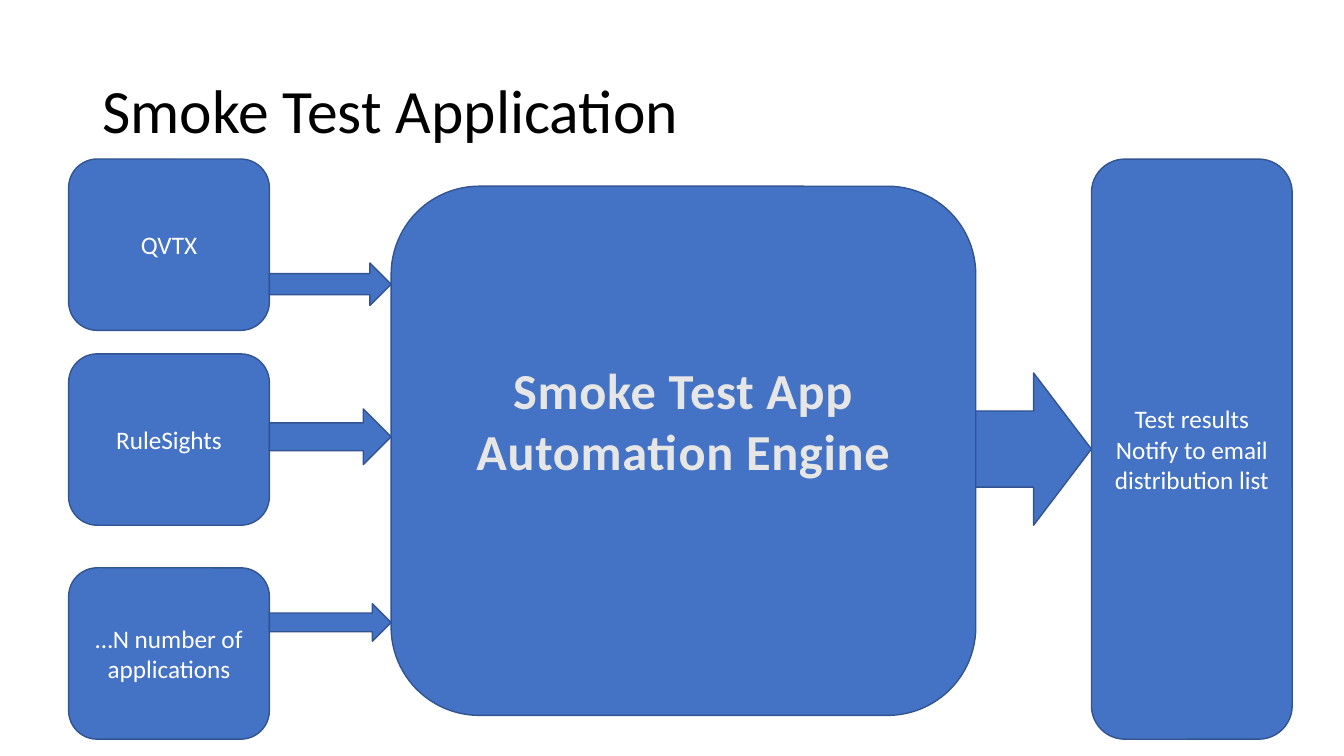
from collections import namedtuple

from pptx import Presentation
from pptx.dml.color import RGBColor
from pptx.enum.shapes import MSO_SHAPE
from pptx.enum.text import MSO_ANCHOR, PP_ALIGN
from pptx.util import Pt

COLORS = {
    "title": "000000",
    "fill": "4472C4",
    "outline": "325491",
    "label": "FFFFFF",
    "engine": "E7E6E6",
}
FONT = "Calibri"

Box = namedtuple("Box", "left top width height")
Source = namedtuple("Source", "label top arrow_center arrow_height")

TITLE_BOX = Box(66, 28.8, 828, 104.4)
SOURCES_BOX = Box(49, 113.6, 143.4, 414.4)
ENGINE_BOX = Box(279.4, 133, 417.6, 378)
RESULT_BOX = Box(779.6, 113.6, 143.4, 414.4)

SOURCE_HEIGHT = 122.4
# Tops and arrow centers are measured from the top of the sources column.
SOURCES = [
    Source("QVTX", 0, 89.4, 30.3),
    Source("RuleSights", 139.2, 198.4, 39.8),
    Source("…N number of applications", 292, 331, 26.8),
]
RESULT_ARROW_HEIGHT = 108.8


def color(name):
    return RGBColor.from_string(COLORS[name])


def style_paragraph(paragraph, size, color_name):
    paragraph.font.name = FONT
    paragraph.font.size = Pt(size)
    paragraph.font.color.rgb = color(color_name)


def add_block(slide, preset, box):
    shape = slide.shapes.add_shape(preset, *map(Pt, box))
    shape.shadow.inherit = False
    shape.fill.solid()
    shape.fill.fore_color.rgb = color("fill")
    shape.line.color.rgb = color("outline")
    shape.line.width = Pt(1)
    return shape


def add_card(slide, box, lines, size=18, color_name="label"):
    """Add a rounded box with one centred paragraph per line."""
    shape = add_block(slide, MSO_SHAPE.ROUNDED_RECTANGLE, box)
    frame = shape.text_frame
    frame.word_wrap = True
    frame.vertical_anchor = MSO_ANCHOR.MIDDLE
    frame.text = "\n".join(lines)
    for paragraph in frame.paragraphs:
        paragraph.alignment = PP_ALIGN.CENTER
        style_paragraph(paragraph, size, color_name)
    return shape


def add_arrow(slide, start, end, center, height):
    """Add a block arrow from the right edge of one box to the left edge of another."""
    left = start.left + start.width
    box = Box(left, center - height / 2, end.left - left, height)
    add_block(slide, MSO_SHAPE.RIGHT_ARROW, box)


def add_title(slide, box):
    frame = slide.shapes.add_textbox(*map(Pt, box)).text_frame
    frame.word_wrap = True
    frame.vertical_anchor = MSO_ANCHOR.MIDDLE
    frame.text = "Smoke Test Application"
    paragraph = frame.paragraphs[0]
    paragraph.line_spacing = 0.9
    style_paragraph(paragraph, 44, "title")


def add_sources(slide, box, target):
    """Stack the tested applications and point each one at the target box."""
    for source in SOURCES:
        card = Box(box.left, box.top + source.top, box.width, SOURCE_HEIGHT)
        add_card(slide, card, [source.label])
        add_arrow(slide, card, target, box.top + source.arrow_center, source.arrow_height)


def add_engine(slide, box):
    shape = add_card(slide, box, ["Smoke Test App Automation Engine"], 36, "engine")
    # The deeper bottom inset lifts the text by half a line.
    shape.text_frame.margin_bottom = Pt(47.5)
    paragraph = shape.text_frame.paragraphs[0]
    paragraph.font.bold = True
    for run in paragraph.runs:
        run._r.get_or_add_rPr().set("spc", "50")


def add_result(slide, box, source):
    add_card(slide, box, ["Test results", "Notify to email distribution list"])
    add_arrow(slide, source, box, box.top + box.height / 2, RESULT_ARROW_HEIGHT)


def main():
    presentation = Presentation()
    presentation.slide_width = Pt(960)
    presentation.slide_height = Pt(540)
    slide = presentation.slides.add_slide(presentation.slide_layouts[6])
    add_title(slide, TITLE_BOX)
    add_sources(slide, SOURCES_BOX, ENGINE_BOX)
    add_engine(slide, ENGINE_BOX)
    add_result(slide, RESULT_BOX, ENGINE_BOX)
    presentation.save("out.pptx")


if __name__ == "__main__":
    main()
